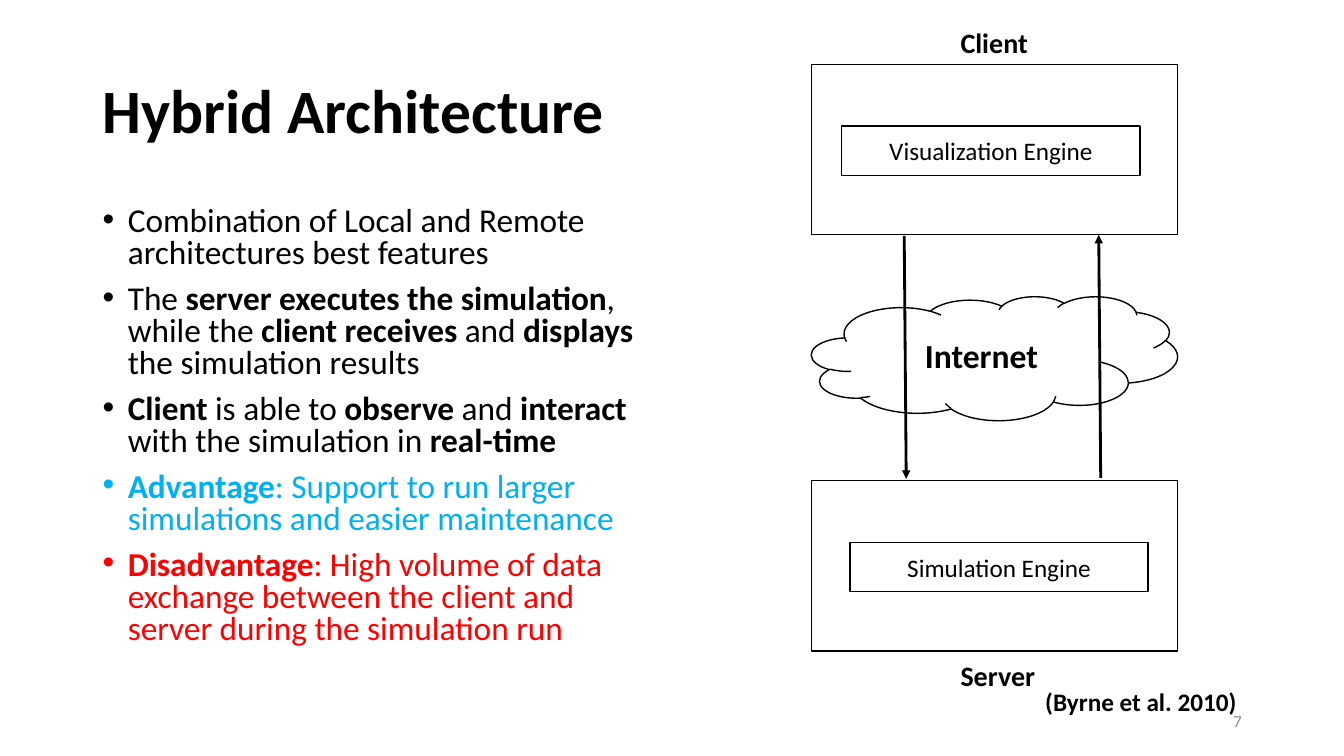
"""Build the Hybrid Architecture slide: bullets beside a client-server diagram."""
from dataclasses import dataclass, field
from typing import Any, NamedTuple

from lxml.etree import SubElement
from pptx import Presentation
from pptx.dml.color import RGBColor
from pptx.enum.shapes import MSO_CONNECTOR as Link, MSO_SHAPE as Preset
from pptx.enum.text import MSO_ANCHOR as Anchor, MSO_AUTO_SIZE as Fit, PP_ALIGN as Align
from pptx.oxml.ns import qn
from pptx.util import Inches, Pt

COLOURS = {"ink": "000000", "paper": "FFFFFF", "advantage": "00B0F0",
           "disadvantage": "FF0000", "page": "8C8C8C"}
FONT = "Calibri"
WIDTH, HEIGHT = Inches(13.33), Inches(7.5)

MACHINE_LEFT, MACHINE_WIDTH, MACHINE_HEIGHT = 60.38, 27.23, 22.53
CLIENT_TOP, SERVER_TOP = 8.53, 63.6
ENGINE_DROP, ENGINE_WIDTH, ENGINE_HEIGHT = 8.13, 22.2, 6.53
LABEL_LEFT, LABEL_HEIGHT = 70.73, 5.87


class Area(NamedTuple):
    """Left, top, width and height in percent of the slide."""
    left: float
    top: float
    width: float
    height: float

    def lengths(self) -> tuple[int, int, int, int]:
        """Return the area as slide lengths."""
        return (across(self.left), down(self.top), across(self.width), down(self.height))


@dataclass
class Node:
    """An outlined diagram part with optional centred text."""
    area: Area
    text: str = ""
    preset: Preset = Preset.RECTANGLE
    font: dict[str, Any] = field(default_factory=lambda: {"size": Pt(18)})


@dataclass
class Caption:
    """A single line of free text."""
    area: Area
    text: str
    font: dict[str, Any]
    frame: dict[str, Any]
    align: Align = Align.LEFT
    colour: str = "ink"
    line_spacing: float = 1.0


class Bullet(NamedTuple):
    """A bullet whose bold parts stand between double asterisks."""
    text: str
    colour: str = "ink"


class Arrow(NamedTuple):
    """A line between two points, pointed at its head or tail end."""
    start: tuple[float, float]
    end: tuple[float, float]
    tip: str


GROWING = {"word_wrap": False, "auto_size": Fit.SHAPE_TO_FIT_TEXT}
MIDDLE = {"word_wrap": True, "vertical_anchor": Anchor.MIDDLE}
LABEL_FONT = {"size": Pt(20), "bold": True}

NODES = [
    Node(Area(MACHINE_LEFT, SERVER_TOP, MACHINE_WIDTH, MACHINE_HEIGHT)),
    Node(Area(MACHINE_LEFT, CLIENT_TOP, MACHINE_WIDTH, MACHINE_HEIGHT)),
    Node(Area(63.23, SERVER_TOP + ENGINE_DROP, ENGINE_WIDTH, ENGINE_HEIGHT), "Simulation Engine"),
    Node(Area(62.63, CLIENT_TOP + ENGINE_DROP, ENGINE_WIDTH, ENGINE_HEIGHT), "Visualization Engine"),
    Node(Area(MACHINE_LEFT, 39.2, MACHINE_WIDTH, 16.4), "Internet", Preset.CLOUD,
         {"size": Pt(24), "bold": True}),
]
CAPTIONS = [
    Caption(Area(6.9, 5.33, 86.25, 19.33), "Hybrid Architecture",
            {"size": Pt(44), "bold": True}, MIDDLE, line_spacing=0.9),
    Caption(Area(LABEL_LEFT, 2.67, 6.53, LABEL_HEIGHT), "Client", LABEL_FONT, GROWING),
    Caption(Area(LABEL_LEFT, 86.4, 7.13, LABEL_HEIGHT), "Server", LABEL_FONT, GROWING),
    Caption(Area(77.03, 90.13, 15.9, 5.33), "(Byrne et al. 2010)",
            {"size": Pt(18), "bold": True}, GROWING),
    Caption(Area(70.65, 92.67, 22.5, 5.33), "7", {"size": Pt(12)}, MIDDLE, Align.RIGHT, "page"),
]
BULLETS_AREA = Area(6.9, 26.67, 42.53, 63.47)
BULLETS = [
    Bullet("Combination of Local and Remote architectures best features"),
    Bullet("The **server executes the simulation**, while the **client receives **and "
           "**displays **the simulation results"),
    Bullet("**Client **is able to **observe **and **interact **with the simulation in **real-time**"),
    Bullet("**Advantage**: Support to run larger simulations and easier maintenance", "advantage"),
    Bullet("**Disadvantage**: High volume of data exchange between the client and server "
           "during the simulation run", "disadvantage"),
]
ARROWS = [
    Arrow((67.28, 31.2), (67.43, 63.33), "tailEnd"),
    Arrow((81.75, 31.07), (81.9, 63.2), "headEnd"),
]


def across(share: float) -> int:
    """Turn a percentage of the slide width into a length."""
    return round(WIDTH * share / 100)


def down(share: float) -> int:
    """Turn a percentage of the slide height into a length."""
    return round(HEIGHT * share / 100)


def rgb(name: str) -> RGBColor:
    """Look up a named colour."""
    return RGBColor.from_string(COLOURS[name])


def apply(target: Any, values: dict[str, Any]) -> None:
    """Set each format value on the target."""
    for name, value in values.items():
        setattr(target, name, value)


def write(paragraph: Any, text: str, font: dict[str, Any], colour: str = "ink") -> None:
    """Add a formatted run to a paragraph."""
    run = paragraph.add_run()
    run.text = text
    apply(run.font, {"name": FONT, **font})
    run.font.color.rgb = rgb(colour)


def draw_node(shapes: Any, node: Node) -> None:
    """Draw an outlined diagram part."""
    part = shapes.add_shape(node.preset, *node.area.lengths())
    part.shadow.inherit = False
    part.fill.solid()
    part.fill.fore_color.rgb = rgb("paper")
    part.line.color.rgb = rgb("ink")
    part.line.width = Pt(1)
    if node.text:
        apply(part.text_frame, MIDDLE)
        paragraph = part.text_frame.paragraphs[0]
        paragraph.alignment = Align.CENTER
        write(paragraph, node.text, node.font)


def draw_caption(shapes: Any, caption: Caption) -> None:
    """Draw a line of free text."""
    frame = shapes.add_textbox(*caption.area.lengths()).text_frame
    apply(frame, caption.frame)
    paragraph = frame.paragraphs[0]
    apply(paragraph, {"alignment": caption.align, "line_spacing": caption.line_spacing})
    write(paragraph, caption.text, caption.font, caption.colour)


def draw_bullets(shapes: Any, area: Area, bullets: list[Bullet]) -> None:
    """Draw the bulleted list."""
    frame = shapes.add_textbox(*area.lengths()).text_frame
    frame.word_wrap = True
    for index, bullet in enumerate(bullets):
        paragraph = frame.add_paragraph() if index else frame.paragraphs[0]
        apply(paragraph, {"line_spacing": 0.8, "space_before": Pt(10 if index else 0)})
        properties = paragraph._p.get_or_add_pPr()
        properties.set("marL", str(Inches(0.25)))
        properties.set("indent", str(-Inches(0.25)))
        SubElement(properties, qn("a:buFont"), typeface="Arial")
        SubElement(properties, qn("a:buChar"), char="•")
        for part, text in enumerate(bullet.text.split("**")):
            if text:
                write(paragraph, text, {"size": Pt(23.8), "bold": part % 2 == 1}, bullet.colour)


def draw_arrow(shapes: Any, arrow: Arrow) -> None:
    """Draw a line with one triangular tip."""
    (x1, y1), (x2, y2) = arrow.start, arrow.end
    line = shapes.add_connector(Link.STRAIGHT, across(x1), down(y1), across(x2), down(y2))
    line.line.color.rgb = rgb("ink")
    line.line.width = Pt(2)
    SubElement(line.line._get_or_add_ln(), qn(f"a:{arrow.tip}"), type="triangle")
    SubElement(line._element.spPr, qn("a:effectLst"))


def main() -> None:
    """Assemble and save the slide."""
    deck = Presentation()
    apply(deck, {"slide_width": WIDTH, "slide_height": HEIGHT})
    shapes = deck.slides.add_slide(deck.slide_layouts[6]).shapes
    for node in NODES:
        draw_node(shapes, node)
    for caption in CAPTIONS:
        draw_caption(shapes, caption)
    draw_bullets(shapes, BULLETS_AREA, BULLETS)
    for arrow in ARROWS:
        draw_arrow(shapes, arrow)
    deck.save("out.pptx")


if __name__ == "__main__":
    main()
